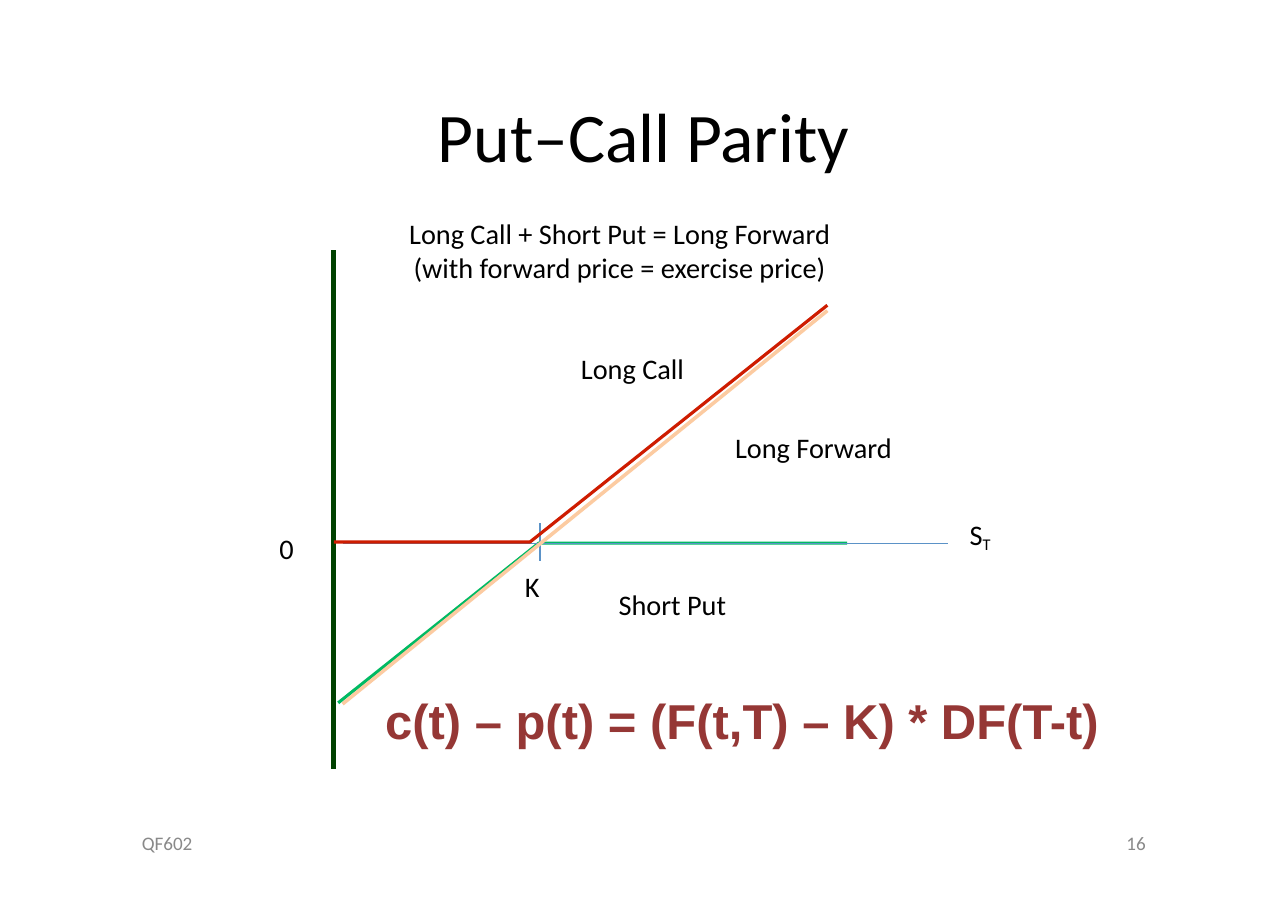
from lxml import etree
from pptx import Presentation
from pptx.dml.color import RGBColor
from pptx.enum.shapes import MSO_CONNECTOR
from pptx.enum.text import MSO_ANCHOR, PP_ALIGN
from pptx.oxml.ns import qn
from pptx.util import Inches, Pt

STRAIGHT = MSO_CONNECTOR.STRAIGHT
MIDDLE = MSO_ANCHOR.MIDDLE
CENTER = PP_ALIGN.CENTER

WIDTH, HEIGHT = Inches(11.69), Inches(8.26)

# Places are percentages of the slide's width and height.
PAYOFF_AXIS = 25.92
PRICE_AXIS = 59.69
STRIKE = 41.92

BLACK, GREY, MAROON = "000000", "898989", "953735"
BLUE, DARK_GREEN = "5B92C7", "004100"
CALL_RED, PUT_GREEN, FORWARD_PEACH = "CE1C00", "00BA63", "FCCBA1"


def color(hex_code):
    return RGBColor.from_string(hex_code)


def across(share):
    return round(WIDTH * share / 100)


def down(share):
    return round(HEIGHT * share / 100)


def place(shape, center, size):
    """Center the shape on a point; both pairs are percentages."""
    (x, y), (width, height) = center, size
    shape.left, shape.top = across(x - width / 2), down(y - height / 2)
    shape.width, shape.height = across(width), down(height)


def write(shape, text, size, hex_code=BLACK, font="Calibri", bold=False):
    frame = shape.text_frame
    frame.text = text
    frame.word_wrap = True
    frame.vertical_anchor = MIDDLE
    frame.margin_left = frame.margin_right = 0
    frame.margin_top = frame.margin_bottom = 0
    for paragraph in frame.paragraphs:
        paragraph.alignment = CENTER
        for run in paragraph.runs:
            run.font.name = font
            run.font.size = Pt(size)
            run.font.bold = bold
            run.font.color.rgb = color(hex_code)


def add_label(slide, text, center, size=18.5, span=(18, 5), **style):
    label = slide.shapes.add_textbox(0, 0, 0, 0)
    place(label, center, span)
    write(label, text, size, **style)
    return label


def add_subscript(label, text):
    paragraph = label.text_frame.paragraphs[0]
    base = paragraph.runs[0].font
    run = paragraph.add_run()
    run.text = text
    run.font.name, run.font.size = base.name, base.size
    run.font.color.rgb = base.color.rgb
    run.font._element.set("baseline", "-20000")


def add_line(slide, start, end, hex_code, weight):
    line = slide.shapes.add_connector(
        STRAIGHT, across(start[0]), down(start[1]), across(end[0]), down(end[1]))
    line.line.color.rgb = color(hex_code)
    line.line.width = Pt(weight)
    etree.SubElement(line._element.spPr, qn("a:effectLst"))


def add_payoff(slide, points, hex_code, weight):
    """Draw an option's payoff as an open, bent line."""
    start, *rest = [(across(x), down(y)) for x, y in points]
    builder = slide.shapes.build_freeform(*start)
    builder.add_line_segments(rest, close=False)
    payoff = builder.convert_to_shape()
    payoff.fill.background()
    payoff.line.color.rgb = color(hex_code)
    payoff.line.width = Pt(weight)
    payoff.shadow.inherit = False


def add_diagram(slide):
    add_line(slide, (STRIKE, 57.51), (STRIKE, 61.62), BLUE, 0.78)
    add_payoff(slide, [(65.78, PRICE_AXIS), (41.83, PRICE_AXIS), (26.26, 77.24)],
               PUT_GREEN, 2.07)
    add_line(slide, (PAYOFF_AXIS, 27.48), (PAYOFF_AXIS, 84.5), DARK_GREEN, 3.1)
    add_line(slide, (26.6, PRICE_AXIS), (73.57, PRICE_AXIS), BLUE, 0.78)
    add_payoff(slide, [(PAYOFF_AXIS, 59.56), (41.15, 59.56), (64.24, 33.54)],
               CALL_RED, 2.07)
    add_line(slide, (26.6, 77.36), (64.24, 34.14), FORWARD_PEACH, 2.33)

    for text, center in [
        ("K", (41.32, 64.4)),
        ("0", (22.25, 60.2)),
        ("Short Put", (52.2, 66.4)),
        ("Long Call", (49.1, 40.5)),
        ("Long Forward", (63.15, 49.1)),
    ]:
        add_label(slide, text, center)
    price = add_label(slide, "S", (76.1, 58.85))
    add_subscript(price, "T")


def main():
    deck = Presentation()
    deck.slide_width, deck.slide_height = WIDTH, HEIGHT
    slide = deck.slides.add_slide(deck.slide_layouts[5])

    title = slide.shapes.title
    place(title, (49.95, 14.8), (60, 10))
    write(title, "Put–Call Parity", 45.5)

    add_diagram(slide)
    add_label(slide,
              "Long Call + Short Put = Long Forward\v(with forward price = exercise price)",
              (48.1, 27.5), span=(40, 9))
    add_label(slide, "c(t) – p(t) = (F(t,T) – K) * DF(T-t)", (57.65, 79.1), 32,
              span=(62, 7), hex_code=MAROON, font="Arial", bold=True)
    add_label(slide, "QF602", (12.97, 92.6), 12.5, hex_code=GREY)
    add_label(slide, "16", (88.2, 92.6), 12.5, hex_code=GREY)

    deck.save("out.pptx")


if __name__ == "__main__":
    main()
